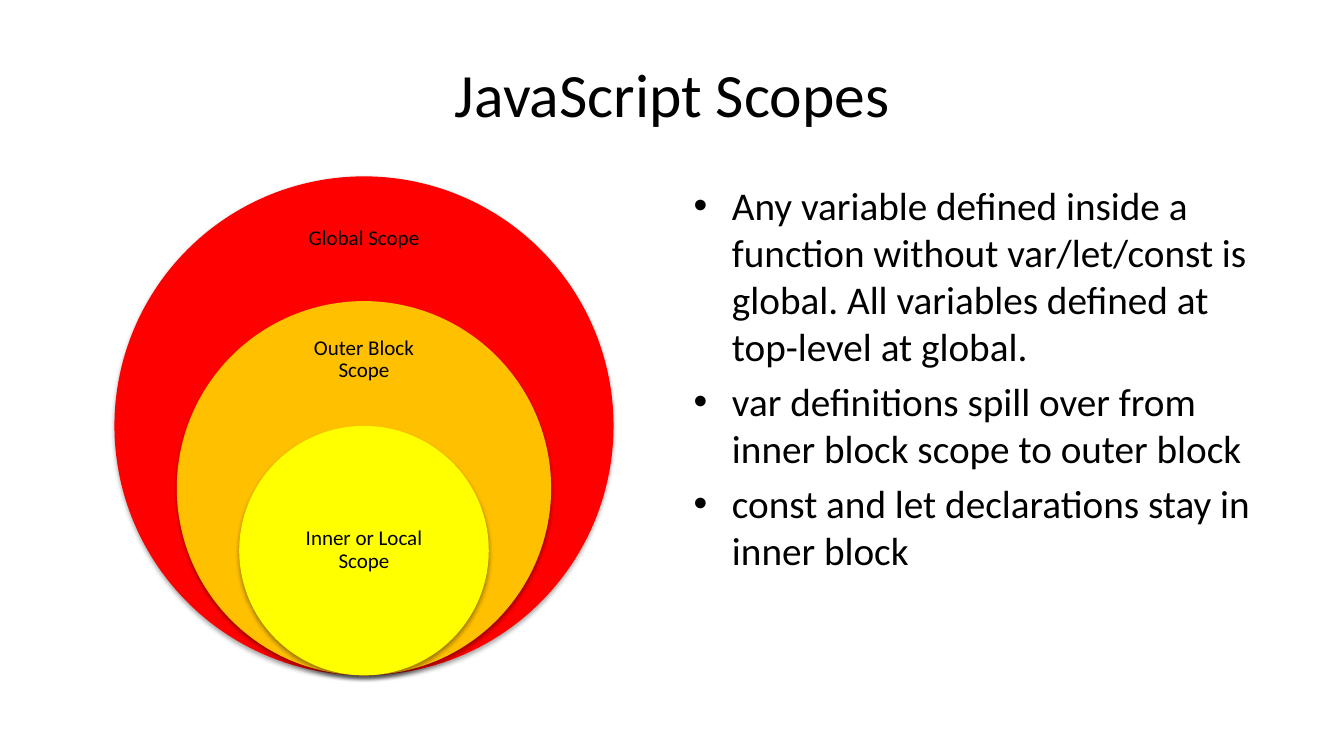
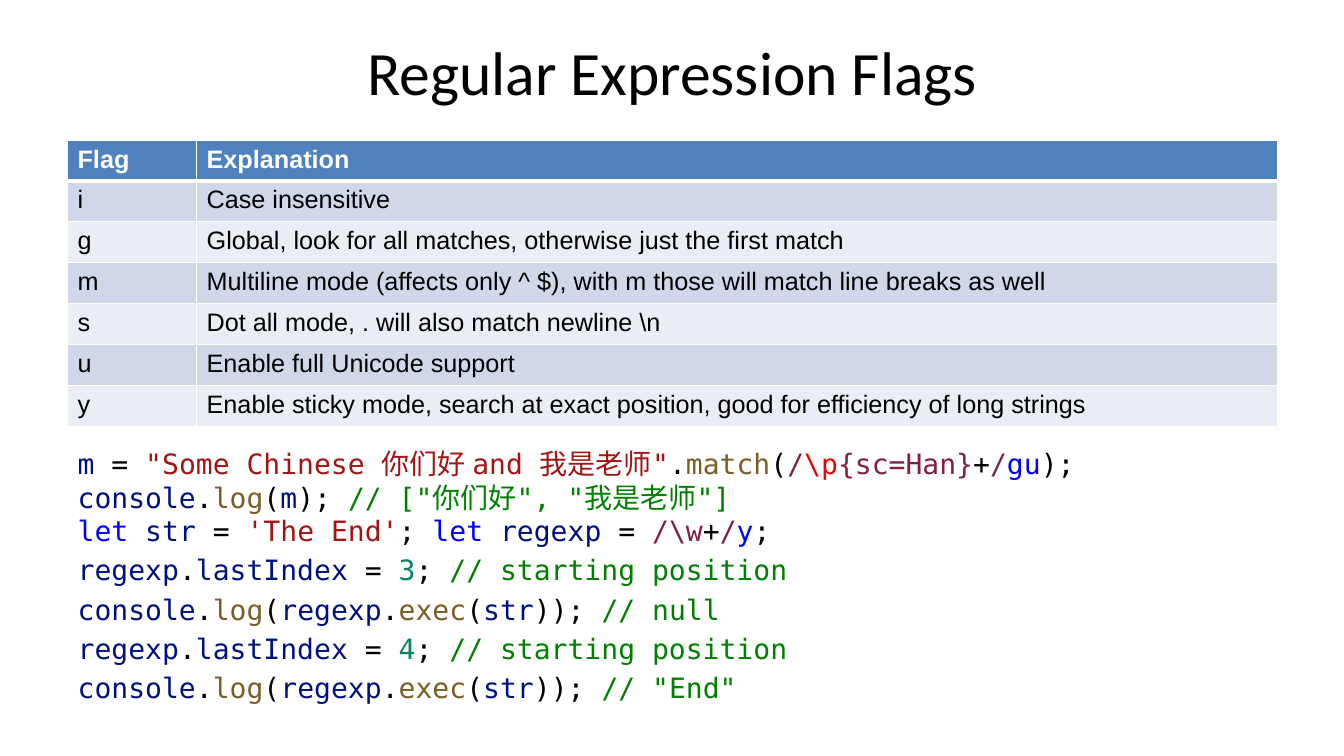
from dataclasses import dataclass, field

from lxml.etree import SubElement
from pptx import Presentation
from pptx.dml.color import RGBColor
from pptx.enum.shapes import MSO_SHAPE as Preset
from pptx.enum.text import MSO_ANCHOR as Anchor, MSO_AUTO_SIZE as AutoSize, PP_ALIGN as Align
from pptx.oxml.ns import qn
from pptx.util import Inches, Pt


# Theme: colours, fonts and type sizes
@dataclass(frozen=True)
class Theme:
    text: str = "000000"
    light: str = "FFFFFF"
    header: str = "4F81BD"
    bands: tuple = ("D0D8E8", "E9EDF4")
    rings: tuple = ("FF0000", "FFC000", "FFFF00")
    syntax: dict = field(default_factory=lambda: {
        "name": "001080", "plain": "000000", "string": "A31515", "call": "795E26",
        "regex": "811F3F", "escape": "EE0000", "keyword": "0000FF",
        "number": "098658", "comment": "008000"})
    title_font: dict = field(default_factory=lambda: {"name": "Calibri", "size": Pt(44)})
    list_font: dict = field(default_factory=lambda: {"name": "Calibri", "size": Pt(28)})
    label_font: dict = field(default_factory=lambda: {"name": "Calibri", "size": Pt(15)})
    table_font: dict = field(default_factory=lambda: {"name": "Arial", "size": Pt(18)})
    code_font: dict = field(default_factory=lambda: {"name": "DejaVu Sans Mono", "size": Pt(20)})


MARGIN, CONTENT_WIDTH = 0.67, 12
NO_BREAK_SPACE = chr(160)


def set_all(target, values):
    for name, value in values.items():
        setattr(target, name, value)


def place(shape, left, top, width, height):
    set_all(shape, {"left": Inches(left), "top": Inches(top),
                    "width": Inches(width), "height": Inches(height)})


class SlideWriter:
    """Holds the style and the slide being written."""

    def __init__(self, deck, theme):
        self.deck, self.theme, self.page = deck, theme, None

    def span(self, para, text, font, color, bold=False):
        span = para.add_run()
        span.text = text
        set_all(span.font, {**font, "bold": bold})
        span.font.color.rgb = RGBColor.from_string(color)

    def new_page(self, title, title_height):
        self.page = self.deck.slides.add_slide(self.deck.slide_layouts[1])
        box = self.page.shapes.title
        place(box, MARGIN, 0.3, CONTENT_WIDTH, title_height)
        set_all(box.text_frame, {"vertical_anchor": Anchor.MIDDLE, "word_wrap": True,
                                 "auto_size": AutoSize.NONE})
        para = box.text_frame.paragraphs[0]
        para.alignment = Align.CENTER
        self.span(para, title, self.theme.title_font, self.theme.text)

    def body_paras(self, count, position, font, bullet=None):
        """Move the body placeholder and yield its paragraphs, ready for text."""
        box = self.page.placeholders[1]
        place(box, *position)
        frame = box.text_frame
        set_all(frame, {"word_wrap": True, "auto_size": AutoSize.NONE,
                        "vertical_anchor": Anchor.TOP})
        indent = Inches(0.38) if bullet else 0
        for index in range(count):
            para = frame.add_paragraph() if index else frame.paragraphs[0]
            properties = para._p.get_or_add_pPr()
            properties.set("marL", str(indent))
            properties.set("indent", str(-indent))
            if bullet:
                SubElement(properties, qn("a:buChar"), char=bullet)
            else:
                SubElement(properties, qn("a:buNone"))
            para.space_before = Pt(font["size"].pt * 0.2) if index else Pt(0)
            yield para

    def bullets(self, items, position):
        font = self.theme.list_font
        for para, item in zip(self.body_paras(len(items), position, font, "•"), items):
            self.span(para, item, font, self.theme.text)

    def code(self, blocks, position):
        """Each block is one paragraph of lines; each line is a list of tokens."""
        font = self.theme.code_font
        for para, lines in zip(self.body_paras(len(blocks), position, font), blocks):
            for index, line in enumerate(lines):
                if index:
                    para.add_line_break()
                for kind, text in line:
                    self.span(para, text.replace(" ", NO_BREAK_SPACE), font,
                              self.theme.syntax[kind])

    def circle(self, group, center, bottom, diameter, color):
        shape = group.shapes.add_shape(
            Preset.OVAL, Inches(center - diameter / 2), Inches(bottom - diameter),
            Inches(diameter), Inches(diameter))
        shape.fill.solid()
        shape.fill.fore_color.rgb = RGBColor.from_string(color)
        shape.line.fill.background()
        shape.shadow.inherit = False
        effects = shape._element.spPr.find(qn("a:effectLst"))
        shadow = SubElement(effects, qn("a:outerShdw"), blurRad=str(Pt(3.1)),
                            dist=str(Pt(1.8)), dir="5400000", rotWithShape="0")
        black = SubElement(shadow, qn("a:srgbClr"), val="000000")
        SubElement(black, qn("a:alpha"), val="35000")

    def label(self, group, text, center, top, height):
        width, inset = 1.74, Inches(0.12)
        box = group.shapes.add_textbox(Inches(center - width / 2), Inches(top),
                                       Inches(width), Inches(height))
        set_all(box.text_frame, {
            "word_wrap": True, "vertical_anchor": Anchor.MIDDLE, "margin_left": inset,
            "margin_right": inset, "margin_top": inset, "margin_bottom": inset})
        para = box.text_frame.paragraphs[0]
        set_all(para, {"alignment": Align.CENTER, "line_spacing": 0.9})
        self.span(para, text, self.theme.label_font, self.theme.text)

    def nested_circles(self, labels, center, bottom, diameter):
        """Circles that shrink by a quarter and rest on one point."""
        group = self.page.shapes.add_group_shape()
        for index, (text, top, height) in enumerate(labels):
            self.circle(group, center, bottom, diameter * (1 - index / 4),
                        self.theme.rings[index])
            self.label(group, text, center, top, height)

    def borders(self, cell, widths):
        properties = cell._tc.get_or_add_tcPr()
        for side, width in widths.items():
            line = SubElement(properties, qn(f"a:ln{side}"), w=str(Pt(width)))
            fill = SubElement(line, qn("a:solidFill"))
            SubElement(fill, qn("a:srgbClr"), val=self.theme.light)

    def table(self, rows, position, widths):
        table = self.page.shapes.add_table(
            len(rows), len(widths), *map(Inches, position)).table
        for column, width in zip(table.columns, widths):
            column.width = Inches(width)
        for row_index, row in enumerate(rows):
            is_header = row_index == 0
            fill = self.theme.header if is_header else self.theme.bands[(row_index - 1) % 2]
            color = self.theme.light if is_header else self.theme.text
            for column_index, text in enumerate(row):
                cell = table.cell(row_index, column_index)
                self.borders(cell, {"L": 1, "R": 1, "T": 3 if row_index == 1 else 1,
                                    "B": 3 if is_header else 1})
                cell.fill.solid()
                cell.fill.fore_color.rgb = RGBColor.from_string(fill)
                self.span(cell.text_frame.paragraphs[0], text, self.theme.table_font,
                          color, is_header)


# Code lines that recur with other values
def set_last_index(number):
    return [("name", "regexp"), ("plain", "."), ("name", "lastIndex"), ("plain", " = "),
            ("number", number), ("plain", "; "), ("comment", "// starting position")]


def log_call(argument, comment):
    return [("name", "console"), ("plain", "."), ("call", "log"), ("plain", "("),
            *argument, ("comment", comment)]


def log_exec(result):
    return log_call([("name", "regexp"), ("plain", "."), ("call", "exec"), ("plain", "("),
                     ("name", "str"), ("plain", ")); ")], f"// {result}")


# Slide content
SCOPES = [("Global Scope", 2, 0.74), ("Outer Block Scope", 3.22, 0.7),
          ("Inner or Local Scope", 4.84, 1.24)]
SCOPE_RULES = [
    "Any variable defined inside a function without var/let/const is global. "
    "All variables defined at top-level at global.",
    "var definitions spill over from inner block scope to outer block",
    "const and let declarations stay in inner block",
]
FLAGS = [
    ("Flag", "Explanation"),
    ("i", "Case insensitive"),
    ("g", "Global, look for all matches, otherwise just the first match"),
    ("m", "Multiline mode (affects only ^ $), with m those will match line breaks as well"),
    ("s", r"Dot all mode, . will also match newline \n"),
    ("u", "Enable full Unicode support"),
    ("y", "Enable sticky mode, search at exact position, good for efficiency of long strings"),
]
MATCH_LINE = [
    ("name", "m"), ("plain", " = "), ("string", '"Some Chinese 你们好 and 我是老师"'),
    ("plain", "."), ("call", "match"), ("plain", "("), ("regex", "/"), ("escape", r"\p"),
    ("regex", "{sc=Han}"), ("plain", "+"), ("regex", "/"), ("keyword", "gu"), ("plain", ");")]
LET_LINE = [
    ("keyword", "let "), ("name", "str"), ("plain", " = "), ("string", "'The End'"),
    ("plain", "; "), ("keyword", "let "), ("name", "regexp"), ("plain", " ="),
    ("regex", r" /\w"), ("plain", "+"), ("regex", "/"), ("keyword", "y"), ("plain", ";")]
LOG_MATCH = log_call([("name", "m"), ("plain", "); ")], '// ["你们好", "我是老师"]')
CODE = [[MATCH_LINE, LOG_MATCH, LET_LINE],
        [set_last_index("3")], [log_exec("null")],
        [set_last_index("4")], [log_exec('"End"')]]


def main():
    deck = Presentation()
    set_all(deck, {"slide_width": Inches(13.33), "slide_height": Inches(7.5)})
    writer = SlideWriter(deck, Theme())

    # Scopes: nested circles beside a list
    writer.new_page("JavaScript Scopes", 1.25)
    writer.nested_circles(SCOPES, center=3.61, bottom=6.7, diameter=4.95)
    writer.bullets(SCOPE_RULES, (6.78, 1.75, 5.89, 4.95))

    # Flags: table above a code sample
    writer.new_page("Regular Expression Flags", 0.81)
    writer.table(FLAGS, (MARGIN, 1.39, CONTENT_WIDTH, 2.84), (1.28, 10.72))
    writer.code(CODE, (MARGIN, 4.38, CONTENT_WIDTH, 2.6))

    deck.save("out.pptx")


if __name__ == "__main__":
    main()
